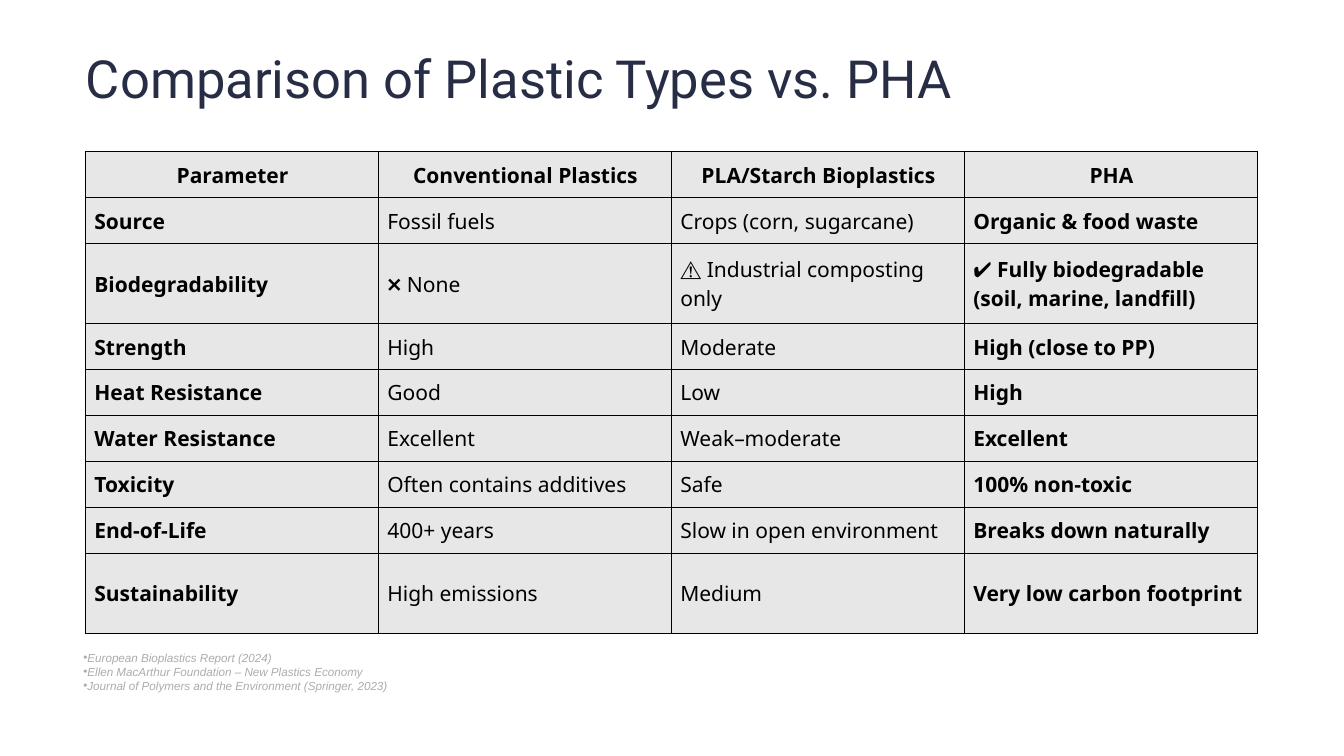
from dataclasses import dataclass
from typing import Any, Optional

import pptx
import pptx.dml.color
import pptx.enum.text
import pptx.oxml
import pptx.oxml.ns
import pptx.util

ALIGN = pptx.enum.text.PP_ALIGN
ANCHOR = pptx.enum.text.MSO_ANCHOR
PX_PER_INCH = 84


@dataclass(frozen=True)
class Theme:
    paper: str = "FFFFFF"
    title: str = "272D45"
    text: str = "000000"
    cell: str = "E7E7E7"
    border: str = "000000"
    source: str = "AFABAB"
    title_font: str = "Roboto"
    table_font: str = "Noto Sans"
    source_font: str = "Arial"
    title_size: int = 45
    table_size: int = 18
    source_size: int = 10
    title_leading: float = 55.5
    border_width: int = 1


@dataclass(frozen=True)
class Frame:
    left: int
    top: int
    width: int
    height: int


@dataclass(frozen=True)
class Comparison:
    parameter: str
    conventional: str
    bioplastic: str
    pha: str
    height: int = 46


THEME = Theme()
PAGE = Frame(0, 0, 1344, 756)
TITLE = Frame(86, 44, 1037, 130)
TABLE = Frame(86, 152, 1172, 482)
SOURCE_LIST = Frame(75, 646, 1183, 51)

HEADER = Comparison("Parameter", "Conventional Plastics", "PLA/Starch Bioplastics", "PHA")
COMPARISONS = [
    HEADER,
    Comparison("Source", "Fossil fuels", "Crops (corn, sugarcane)", "Organic & food waste"),
    Comparison("Biodegradability", "❌ None", "⚠️ Industrial composting only",
               "✔️ Fully biodegradable (soil, marine, landfill)", height=80),
    Comparison("Strength", "High", "Moderate", "High (close to PP)"),
    Comparison("Heat Resistance", "Good", "Low", "High"),
    Comparison("Water Resistance", "Excellent", "Weak–moderate", "Excellent"),
    Comparison("Toxicity", "Often contains additives", "Safe", "100% non-toxic"),
    Comparison("End-of-Life", "400+ years", "Slow in open environment", "Breaks down naturally"),
    Comparison("Sustainability", "High emissions", "Medium", "Very low carbon footprint",
               height=80),
]
SOURCES = [
    "European Bioplastics Report (2024)",
    "Ellen MacArthur Foundation – New Plastics Economy",
    "Journal of Polymers and the Environment (Springer, 2023)",
]


def px(length: int) -> int:
    return round(length * pptx.util.Inches(1) / PX_PER_INCH)


def rgb(colour: str) -> pptx.dml.color.RGBColor:
    return pptx.dml.color.RGBColor.from_string(colour)


def place(shape: Any, frame: Frame) -> None:
    shape.left, shape.top = px(frame.left), px(frame.top)
    shape.width, shape.height = px(frame.width), px(frame.height)


def write(para: Any, text: str, *, font: str, size: int, colour: str, bold: bool = False,
          italic: bool = False, align: Any = ALIGN.LEFT, leading: Optional[float] = None,
          bullet: Optional[str] = None) -> None:
    para.alignment = align
    para.space_before = pptx.util.Pt(0)
    if leading:
        para.line_spacing = pptx.util.Pt(leading)
    if bullet:
        properties = para._p.get_or_add_pPr()
        properties.set("marL", "0")
        properties.set("indent", "0")
        mark = pptx.oxml.parse_xml(
            f'<a:buChar {pptx.oxml.ns.nsdecls("a")} char="{bullet}"/>')
        properties.append(mark)
    span = para.add_run()
    span.text = text
    span.font.name, span.font.size = font, pptx.util.Pt(size)
    span.font.bold, span.font.italic = bold, italic
    span.font.color.rgb = rgb(colour)


def add_borders(cell: Any) -> None:
    properties = cell._tc.get_or_add_tcPr()
    for side in ("lnL", "lnR", "lnT", "lnB"):
        properties.append(pptx.oxml.parse_xml(
            f'<a:{side} {pptx.oxml.ns.nsdecls("a")} w="{pptx.util.Pt(THEME.border_width)}">'
            f'<a:solidFill><a:srgbClr val="{THEME.border}"/></a:solidFill></a:{side}>'))


def fill_title(box: Any) -> None:
    place(box, TITLE)
    frame = box.text_frame
    frame.margin_left = frame.margin_top = frame.margin_right = frame.margin_bottom = 0
    frame.vertical_anchor = ANCHOR.TOP
    frame.auto_size = pptx.enum.text.MSO_AUTO_SIZE.NONE
    write(frame.paragraphs[0], "Comparison of Plastic Types vs. PHA", font=THEME.title_font,
          size=THEME.title_size, colour=THEME.title, leading=THEME.title_leading)


def fill_sources(box: Any) -> None:
    place(box, SOURCE_LIST)
    frame = box.text_frame
    frame.word_wrap = True
    frame.vertical_anchor = ANCHOR.MIDDLE
    frame.auto_size = pptx.enum.text.MSO_AUTO_SIZE.SHAPE_TO_FIT_TEXT
    for index, source in enumerate(SOURCES):
        para = frame.add_paragraph() if index else frame.paragraphs[0]
        write(para, source, font=THEME.source_font, size=THEME.source_size,
              colour=THEME.source, italic=True, bullet="•")


def add_comparison_table(page: Any) -> None:
    columns = ("parameter", "conventional", "bioplastic", "pha")
    table = page.shapes.add_table(len(COMPARISONS), len(columns), px(TABLE.left),
                                  px(TABLE.top), px(TABLE.width), px(TABLE.height)).table
    table.first_row = table.horz_banding = False
    for column in table.columns:
        column.width = px(TABLE.width // len(columns))
    for row, comparison in zip(table.rows, COMPARISONS):
        row.height = px(comparison.height)
        is_header = comparison is HEADER
        for cell, name in zip(row.cells, columns):
            add_borders(cell)
            cell.fill.solid()
            cell.fill.fore_color.rgb = rgb(THEME.cell)
            cell.vertical_anchor = ANCHOR.MIDDLE
            write(cell.text_frame.paragraphs[0], getattr(comparison, name),
                  font=THEME.table_font, size=THEME.table_size, colour=THEME.text,
                  bold=is_header or name in ("parameter", "pha"),
                  align=ALIGN.CENTER if is_header else ALIGN.LEFT)


def main() -> None:
    deck = pptx.Presentation()
    deck.slide_width, deck.slide_height = px(PAGE.width), px(PAGE.height)
    page = deck.slides.add_slide(deck.slide_layouts.get_by_name("Title and Content"))
    page.background.fill.solid()
    page.background.fill.fore_color.rgb = rgb(THEME.paper)
    fill_title(page.shapes.title)
    fill_sources(page.placeholders[1])
    add_comparison_table(page)
    deck.save("out.pptx")


if __name__ == "__main__":
    main()
